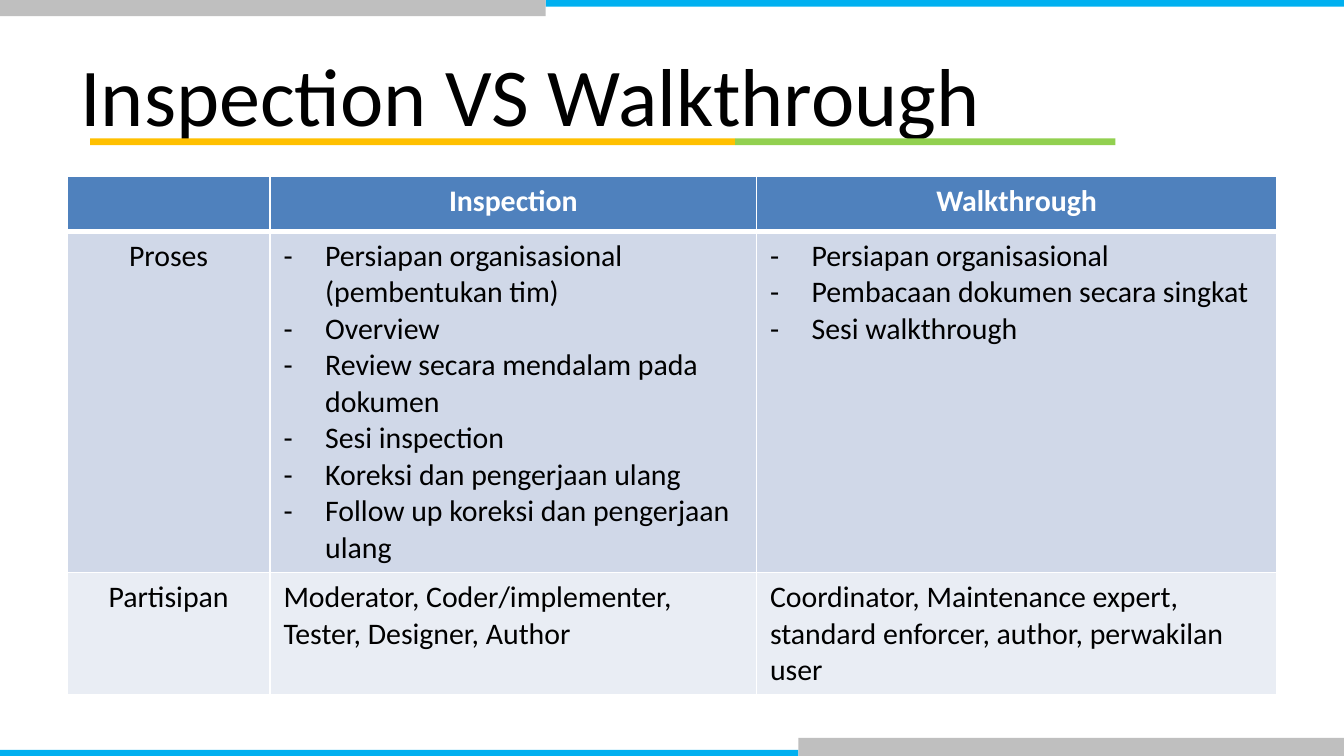
from lxml.etree import SubElement
from pptx import Presentation
from pptx.dml.color import RGBColor
from pptx.enum.shapes import MSO_SHAPE
from pptx.enum.text import MSO_ANCHOR, PP_ALIGN
from pptx.oxml import parse_xml
from pptx.oxml.ns import nsdecls, qn
from pptx.util import Inches, Pt

FONT = "Calibri"
COLUMN_WIDTHS = [1.51, 3.62, 3.87]
ROW_HEIGHTS = [0.41, 2.54, 0.91]
ROW_FILLS = ["4F81BD", "D0D8E8", "E9EDF4"]
ROWS = [
    ["", "Inspection", "Walkthrough"],
    [
        "Proses",
        [
            "Persiapan organisasional (pembentukan tim)",
            "Overview",
            "Review secara mendalam pada dokumen",
            "Sesi inspection",
            "Koreksi dan pengerjaan ulang",
            "Follow up koreksi dan pengerjaan ulang",
        ],
        [
            "Persiapan organisasional",
            "Pembacaan dokumen secara singkat",
            "Sesi walkthrough",
        ],
    ],
    [
        "Partisipan",
        "Moderator, Coder/implementer, Tester, Designer, Author",
        "Coordinator, Maintenance expert, standard enforcer, author, perwakilan user",
    ],
]
BARS = [
    (0, 5.58, 5.94, 0.05, "00B0F0"),
    (4.06, 0, 5.94, 0.05, "00B0F0"),
    (5.94, 5.49, 4.06, 0.14, "BFBFBF"),
    (0, -0.02, 4.06, 0.14, "BFBFBF"),
    (0.67, 1.03, 4.8, 0.05, "FFC000"),
    (5.47, 1.03, 2.83, 0.05, "92D050"),
]


def color(value):
    """Turn a hex string into a colour."""
    return RGBColor.from_string(value)


def style_font(font, size, value, bold=False):
    """Set the typeface, size, colour and weight of a font."""
    font.name = FONT
    font.size = Pt(size)
    font.bold = bold
    font.color.rgb = color(value)


def add_title(page, text):
    """Add the slide heading."""
    box = page.shapes.add_textbox(Inches(0.5), Inches(0.23), Inches(9), Inches(0.94))
    frame = box.text_frame
    frame.word_wrap = True
    frame.vertical_anchor = MSO_ANCHOR.MIDDLE
    frame.text = text
    style_font(frame.paragraphs[0].runs[0].font, 44, "000000")


def add_bar(page, left, top, width, height, fill):
    """Add a plain coloured bar."""
    bar = page.shapes.add_shape(
        MSO_SHAPE.RECTANGLE, Inches(left), Inches(top), Inches(width), Inches(height)
    )
    bar.shadow.inherit = False
    bar.fill.solid()
    bar.fill.fore_color.rgb = color(fill)
    bar.line.fill.background()


def add_dash(paragraph):
    """Give a paragraph a hanging dash bullet."""
    properties = paragraph._p.get_or_add_pPr()
    properties.set("marL", str(Inches(0.31)))
    properties.set("indent", str(Inches(-0.31)))
    SubElement(properties, qn("a:buFont")).set("typeface", FONT)
    SubElement(properties, qn("a:buChar")).set("char", "-")


def set_borders(cell, top, bottom):
    """Draw white borders around a cell."""
    properties = cell._tc.get_or_add_tcPr()
    widths = {"lnL": 1, "lnR": 1, "lnT": top, "lnB": bottom}
    for index, (side, width) in enumerate(widths.items()):
        line = parse_xml(
            f'<a:{side} {nsdecls("a")} w="{Pt(width)}"><a:solidFill>'
            f'<a:srgbClr val="FFFFFF"/></a:solidFill></a:{side}>'
        )
        properties.insert(index, line)


def fill_cell(cell, content, row, column):
    """Write and style one table cell."""
    is_header = row == 0
    is_list = isinstance(content, list)
    text_color = "FFFFFF" if is_header else "000000"
    cell.fill.solid()
    cell.fill.fore_color.rgb = color(ROW_FILLS[row])
    set_borders(cell, 3 if row == 1 else 1, 3 if is_header else 1)
    cell.text_frame.text = "\n".join(content) if is_list else content
    for paragraph in cell.text_frame.paragraphs:
        if is_list:
            add_dash(paragraph)
        elif is_header or column == 0:
            paragraph.alignment = PP_ALIGN.CENTER
        for span in paragraph.runs:
            style_font(span.font, 16, text_color, is_header)


def add_comparison(page):
    """Add the table that compares both review methods."""
    table = page.shapes.add_table(
        len(ROWS), len(COLUMN_WIDTHS), Inches(0.5), Inches(1.31),
        Inches(sum(COLUMN_WIDTHS)), Inches(sum(ROW_HEIGHTS)),
    ).table
    for column, width in zip(table.columns, COLUMN_WIDTHS):
        column.width = Inches(width)
    for row, contents in enumerate(ROWS):
        table.rows[row].height = Inches(ROW_HEIGHTS[row])
        for column, content in enumerate(contents):
            fill_cell(table.cell(row, column), content, row, column)


def main():
    """Build and save the slide."""
    deck = Presentation()
    deck.slide_width = Inches(10)
    deck.slide_height = Inches(10 * 9 / 16)
    page = deck.slides.add_slide(deck.slide_layouts[6])
    add_title(page, "Inspection VS Walkthrough")
    add_comparison(page)
    for bar in BARS:
        add_bar(page, *bar)
    deck.save("out.pptx")


if __name__ == "__main__":
    main()
